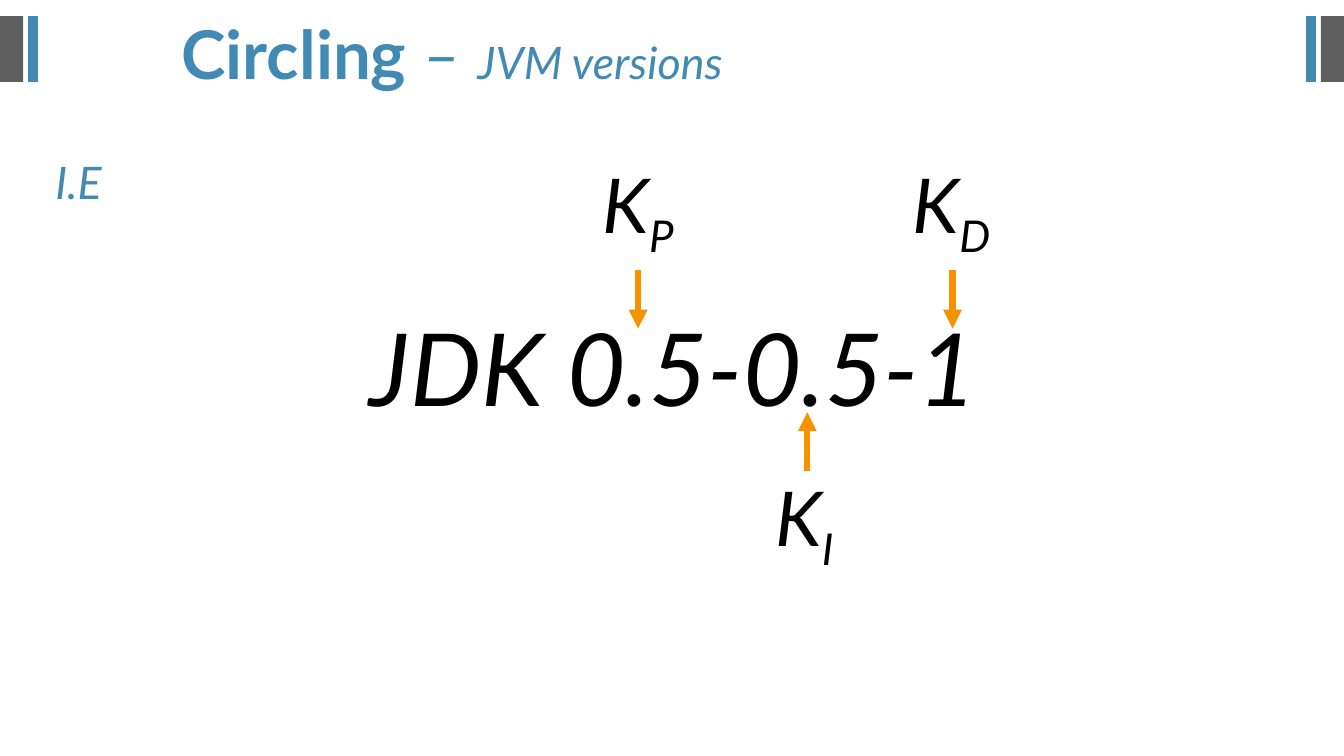
from dataclasses import dataclass

from lxml.etree import SubElement
from pptx import Presentation
from pptx.dml.color import RGBColor
from pptx.enum.shapes import MSO_CONNECTOR, MSO_SHAPE
from pptx.enum.text import MSO_AUTO_SIZE, PP_ALIGN
from pptx.oxml.ns import qn
from pptx.util import Pt


@dataclass(frozen=True)
class Theme:
    font: str = "Lato"
    blue: RGBColor = RGBColor(0x41, 0x8A, 0xB3)
    gray: RGBColor = RGBColor(0x5E, 0x5E, 0x5E)
    orange: RGBColor = RGBColor(0xF6, 0x92, 0x00)
    black: RGBColor = RGBColor(0, 0, 0)
    title: int = 48
    subtitle: int = 32
    label: int = 54
    version: int = 72


THEME = Theme()
SLIDE_WIDTH = 960
SLIDE_HEIGHT = 540


def add_bar(slide, left, width, color):
    bar = slide.shapes.add_shape(
        MSO_SHAPE.RECTANGLE, Pt(left), Pt(11.5), Pt(width), Pt(47)
    )
    bar.shadow.inherit = False
    bar.fill.solid()
    bar.fill.fore_color.rgb = color
    bar.line.fill.background()


def add_edge_bars(slide):
    for offset, width, color in ((0, 16.5, THEME.gray), (20, 7, THEME.blue)):
        for left in (offset, SLIDE_WIDTH - offset - width):
            add_bar(slide, left, width, color)


def add_line_of_text(slide, left, top, width, height, align=PP_ALIGN.LEFT,
                     spacing=1.0, indent=7.2):
    box = slide.shapes.add_textbox(Pt(left), Pt(top), Pt(width), Pt(height))
    frame = box.text_frame
    frame.word_wrap = True
    frame.auto_size = MSO_AUTO_SIZE.SHAPE_TO_FIT_TEXT
    frame.margin_left = Pt(indent)
    paragraph = frame.paragraphs[0]
    paragraph.alignment = align
    paragraph.line_spacing = spacing
    return paragraph


def add_run(paragraph, text, size, color, bold=False, italic=True, baseline=0):
    run = paragraph.add_run()
    run.text = text
    run.font.name = THEME.font
    run.font.size = Pt(size)
    run.font.color.rgb = color
    run.font.bold = bold
    run.font.italic = italic
    if baseline:
        run._r.get_or_add_rPr().set("baseline", str(baseline * 1000))


def add_title(slide):
    title = add_line_of_text(slide, 50.4, 16.5, 779, 54.7, spacing=0.8, indent=79.2)
    add_run(title, "Circling ", THEME.title, THEME.blue, bold=True, italic=False)
    add_run(title, "– ", THEME.title, THEME.blue)
    add_run(title, "JVM versions", THEME.subtitle, THEME.blue)


def add_example_heading(slide):
    heading = add_line_of_text(slide, 32.4, 68.4, 779, 74, spacing=2.0)
    add_run(heading, "I.E", THEME.subtitle, THEME.blue)


def add_version(slide):
    version = add_line_of_text(slide, 240, 214.5, 482.4, 94.5, PP_ALIGN.CENTER)
    add_run(version, "JDK 0.5-0.5-1", THEME.version, THEME.black)


def add_k_label(slide, subscript, center, top):
    width = 212
    label = add_line_of_text(
        slide, center - width / 2, top, width, 72.7, PP_ALIGN.CENTER
    )
    add_run(label, "K", THEME.label, THEME.black)
    add_run(label, subscript, THEME.label, THEME.black, baseline=-25)


def add_arrow(slide, x, start, end):
    arrow = slide.shapes.add_connector(
        MSO_CONNECTOR.STRAIGHT, Pt(x), Pt(start), Pt(x), Pt(end)
    )
    arrow.line.color.rgb = THEME.orange
    arrow.line.width = Pt(4.5)
    SubElement(arrow.line._get_or_add_ln(), qn("a:tailEnd"), type="triangle")
    SubElement(arrow._element.spPr, qn("a:effectLst"))


def main():
    presentation = Presentation()
    presentation.slide_width = Pt(SLIDE_WIDTH)
    presentation.slide_height = Pt(SLIDE_HEIGHT)
    slide = presentation.slides.add_slide(presentation.slide_layouts[6])

    add_edge_bars(slide)
    add_title(slide)
    add_example_heading(slide)
    add_version(slide)
    for subscript, center, label_top, arrow_x, start, end in (
        ("P", 455.8, 109.4, 455.8, 193, 234.7),
        ("D", 679.7, 109.4, 680.4, 193, 234.7),
        ("I", 574.6, 332.6, 576.7, 336.2, 294.5),
    ):
        add_k_label(slide, subscript, center, label_top)
        add_arrow(slide, arrow_x, start, end)

    presentation.save("out.pptx")


if __name__ == "__main__":
    main()
